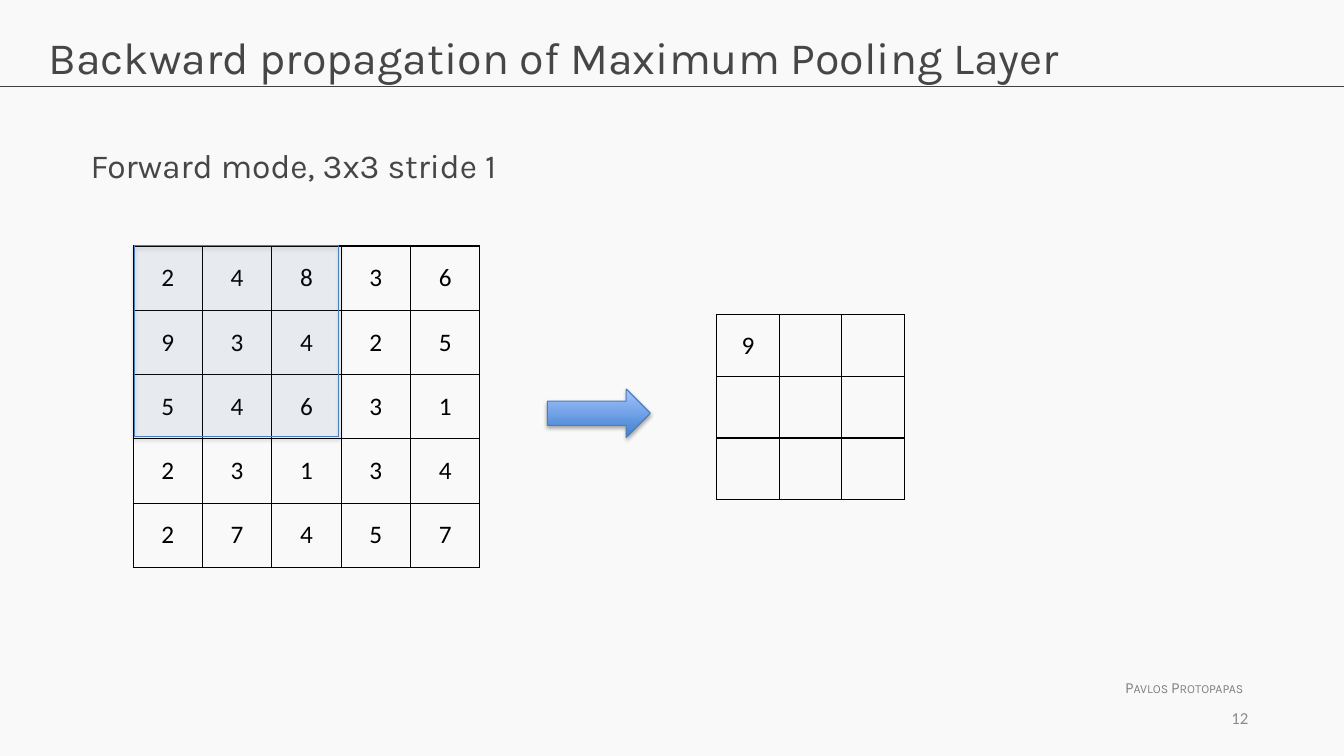
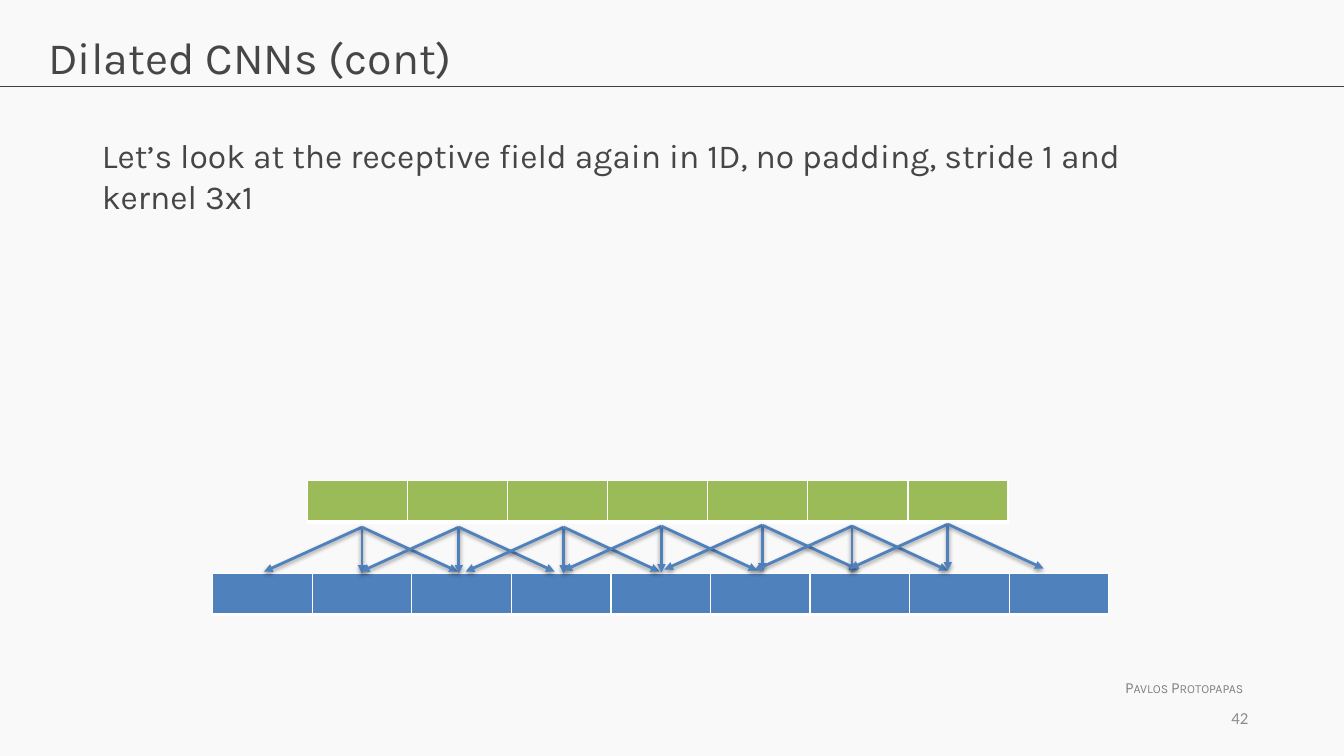
import pptx
import pptx.dml.color
import pptx.enum.shapes
import pptx.enum.text
import pptx.oxml
import pptx.oxml.ns
import pptx.util
from lxml import etree

Inches, Pt = pptx.util.Inches, pptx.util.Pt
RGBColor = pptx.dml.color.RGBColor
MSO_SHAPE = pptx.enum.shapes.MSO_SHAPE
STRAIGHT = pptx.enum.shapes.MSO_CONNECTOR.STRAIGHT
ALIGN, ANCHOR = pptx.enum.text.PP_ALIGN, pptx.enum.text.MSO_ANCHOR
qn = pptx.oxml.ns.qn
NS = pptx.oxml.ns.nsdecls("a")

PAPER = RGBColor(0xF9, 0xF9, 0xF9)
INK = RGBColor(0x46, 0x46, 0x46)
RULE = RGBColor(0x40, 0x40, 0x40)
AUTHOR_GRAY = RGBColor(0x80, 0x80, 0x80)
NUMBER_GRAY = RGBColor(0x8C, 0x8C, 0x8C)
BLACK = RGBColor(0, 0, 0)
WHITE = RGBColor(0xFF, 0xFF, 0xFF)
BLUE = RGBColor(0x4F, 0x81, 0xBD)
EDGE_BLUE = RGBColor(0x4B, 0x7E, 0xBC)
DEEP_BLUE = RGBColor(0x3F, 0x80, 0xCE)
PALE_BLUE = RGBColor(0xA4, 0xC4, 0xFF)
GREEN = RGBColor(0x9B, 0xBB, 0x59)


def set_shadow(sp, opacity=0, distance=0):
    """Give a shape a soft shadow straight below, or none if opacity is 0."""
    effects = etree.SubElement(sp.element.spPr, qn("a:effectLst"))
    if opacity:
        effects.append(pptx.oxml.parse_xml(
            f'<a:outerShdw {NS} blurRad="{Pt(3.1)}" dist="{Pt(distance)}" dir="5400000" '
            f'rotWithShape="0"><a:srgbClr val="000000"><a:alpha val="{opacity * 1000}"/>'
            '</a:srgbClr></a:outerShdw>'))


def add_grid(s, left, top, width, height, rows, border, bottom=1, fill=None):
    """Add a table of equal cells; rows holds one string per row, one character per cell."""
    n_rows, n_cols = len(rows), len(rows[0])
    table = s.shapes.add_table(n_rows, n_cols, Inches(left), Inches(top),
                               Inches(width), Inches(height)).table
    table.first_row = table.horz_banding = False
    for cell, value in zip(table.iter_cells(), "".join(rows)):
        tcPr = cell._tc.get_or_add_tcPr()
        for side, weight in (("L", 1), ("R", 1), ("T", 1), ("B", bottom)):
            tcPr.append(pptx.oxml.parse_xml(
                f'<a:ln{side} {NS} w="{Pt(weight)}"><a:solidFill><a:srgbClr val="{border}"/>'
                f'</a:solidFill></a:ln{side}>'))
        if fill is None:
            cell.fill.background()
        else:
            cell.fill.solid()
            cell.fill.fore_color.rgb = fill
        cell.vertical_anchor = ANCHOR.MIDDLE
        if value != " ":
            p = cell.text_frame.paragraphs[0]
            p.alignment = ALIGN.CENTER
            r = p.add_run()
            r.text = value
            r.font.size, r.font.name = Pt(18), "Calibri"
            r.font.color.rgb = BLACK


prs = pptx.Presentation()
prs.slide_width, prs.slide_height = Inches(13.33), Inches(7.5)
fill = prs.slide_master.background.fill
fill.solid()
fill.fore_color.rgb = PAPER

# Title, body, rule, author and number of both slides
pages = [
    ("12", "Backward propagation of Maximum Pooling Layer",
     "Forward mode, 3x3 stride 1", (0.8, 1.39, 11.29, 0.89)),
    ("42", "Dilated CNNs (cont)",
     "Let’s look at the receptive field again in 1D, no padding, stride 1 and kernel 3x1",
     (0.91, 1.29, 11.29, 2.31)),
]
for number, title, body, body_box in pages:
    s = prs.slides.add_slide(prs.slide_layouts[1])
    rule = s.shapes.add_connector(STRAIGHT, 0, Inches(0.86), prs.slide_width, Inches(0.86))
    rule.line.color.rgb, rule.line.width = RULE, Pt(0.75)
    set_shadow(rule)
    author_sp = s.shapes.add_textbox(0, 0, 0, 0)
    number_sp = s.shapes.add_textbox(0, 0, 0, 0)
    for sp, text, box, size, font, color in [
        (s.shapes.title, title, (0.38, 0.24, 12.57, 0.84), 32, "Karla", INK),
        (s.placeholders[1], body, body_box, 24, "Karla", INK),
        (author_sp, "Pavlos Protopapas", (11.06, 6.68, 1.41, 0.29), 11, "Karla", AUTHOR_GRAY),
        (number_sp, number, (9.37, 6.92, 3.11, 0.4), 12, "Calibri", NUMBER_GRAY),
    ]:
        sp.left, sp.top, sp.width, sp.height = map(Inches, box)
        tf = sp.text_frame
        tf.word_wrap = sp is not author_sp
        tf.auto_size = pptx.enum.text.MSO_AUTO_SIZE.NONE
        tf.vertical_anchor = ANCHOR.MIDDLE if sp is number_sp else ANCHOR.TOP
        p = tf.paragraphs[0]
        p.alignment = ALIGN.RIGHT if sp is number_sp else ALIGN.LEFT
        p.space_before = Pt(0)
        pPr = p._p.get_or_add_pPr()
        pPr.set("marL", "0")
        pPr.set("indent", "0")
        etree.SubElement(pPr, qn("a:buNone"))
        r = p.add_run()
        r.text = text
        r.font.size, r.font.name = Pt(size), font
        r.font.color.rgb = color
        if sp is author_sp:
            r.font._element.set("cap", "small")

pooling, dilated = prs.slides

# Max pooling: input grid, 3x3 window, arrow, output grid
add_grid(pooling, 1.32, 2.44, 3.44, 3.19,
         ["24836", "93425", "54631", "23134", "27457"], BLACK)

window = pooling.shapes.add_shape(MSO_SHAPE.RECTANGLE, Inches(1.33), Inches(2.44),
                                  Inches(2.03), Inches(1.89))
window.fill.solid()
window.fill.fore_color.rgb = BLUE
tint = window.element.spPr.find(qn("a:solidFill"))[0]
etree.SubElement(tint, qn("a:alpha")).set("val", "7000")

arrow = pooling.shapes.add_shape(MSO_SHAPE.RIGHT_ARROW, Inches(5.43), Inches(3.86),
                                 Inches(1.02), Inches(0.48))
arrow.fill.gradient()
arrow.fill.gradient_angle = 90
for stop, color in zip(arrow.fill.gradient_stops, (DEEP_BLUE, PALE_BLUE)):
    stop.color.rgb = color

for sp in (window, arrow):
    sp.line.color.rgb, sp.line.width = EDGE_BLUE, Pt(0.75)
    set_shadow(sp, 35, 1.8)

add_grid(pooling, 7.11, 3.12, 1.86, 1.84, ["9  ", "   ", "   "], BLACK)

# Receptive field: each output cell looks at three input cells
add_grid(dilated, 2.11, 5.69, 8.89, 0.4, [" " * 9], WHITE, 3, BLUE)
add_grid(dilated, 3.05, 4.77, 6.95, 0.41, [" " * 7], WHITE, 3, GREEN)

starts = [(3.59, 5.23), (4.55, 5.23), (5.59, 5.23), (6.56, 5.22),
          (7.56, 5.21), (8.45, 5.22), (9.4, 5.2)]
for x, y in starts:
    for dx, dy in ((-0.97, 0.44), (0, 0.46), (0.95, 0.44)):
        link = dilated.shapes.add_connector(STRAIGHT, Inches(x), Inches(y),
                                            Inches(x + dx), Inches(y + dy))
        link.line.color.rgb, link.line.width = BLUE, Pt(2)
        etree.SubElement(link.line._get_or_add_ln(), qn("a:tailEnd")).set("type", "triangle")
        set_shadow(link, 38, 1.6)

prs.save("out.pptx")
